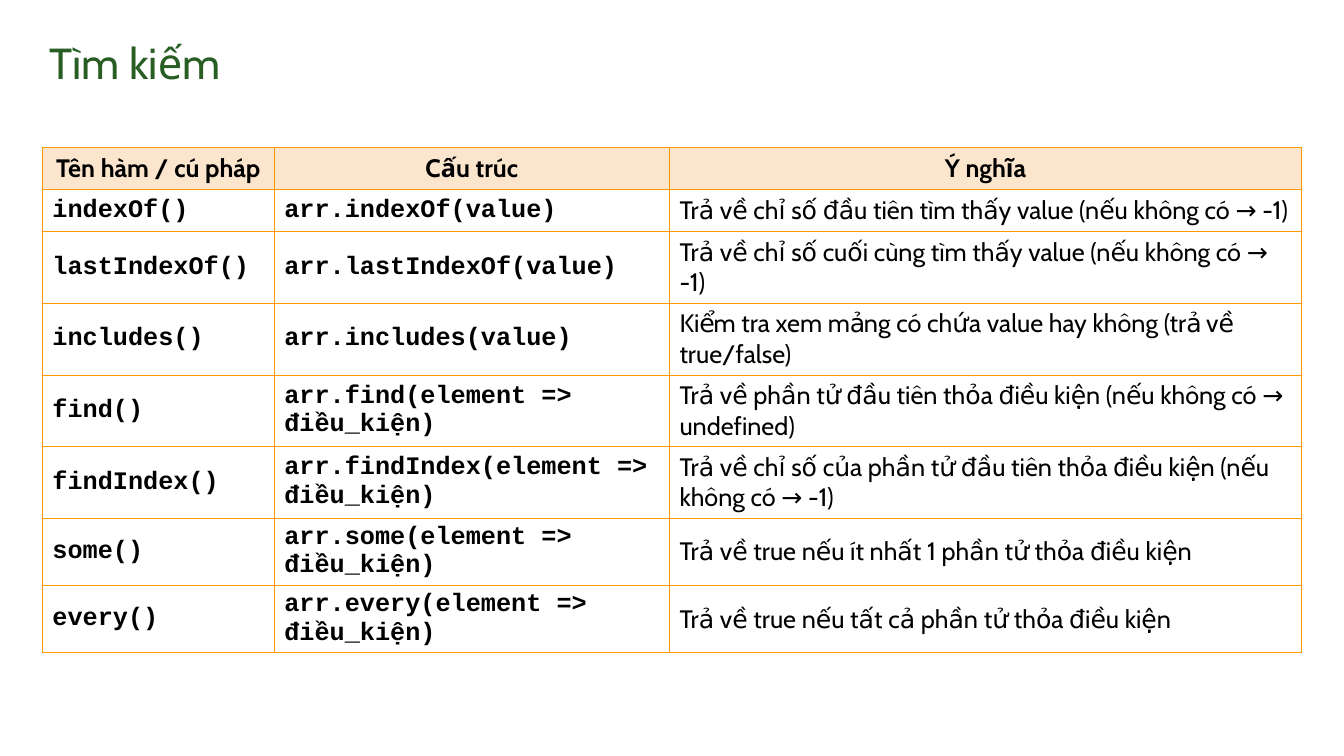
from lxml.etree import SubElement
from pptx import Presentation
from pptx.dml.color import RGBColor
from pptx.enum.text import MSO_ANCHOR as Anchor, MSO_AUTO_SIZE as AutoSize, PP_ALIGN as Align
from pptx.oxml.ns import qn
from pptx.util import Inches, Pt

TEXT_FONT, CODE_FONT = "Cabin", "Courier New"
GREEN, BLACK, WHITE, PEACH, ORANGE = "285D23", "000000", "FFFFFF", "FCE5CD", "FF9900"
COLUMN_WIDTHS = (2.3, 3.92, 6.27)
ROW_HEIGHT = 0.42

HEADER = ("Tên hàm / cú pháp", "Cấu trúc", "Ý nghĩa")
# Function name, its argument, its meaning
FUNCTIONS = (
    ("indexOf", "value", "Trả về chỉ số đầu tiên tìm thấy value (nếu không có → -1)"),
    ("lastIndexOf", "value", "Trả về chỉ số cuối cùng tìm thấy value (nếu không có → -1)"),
    ("includes", "value", "Kiểm tra xem mảng có chứa value hay không (trả về true/false)"),
    ("find", "element => điều_kiện",
     "Trả về phần tử đầu tiên thỏa điều kiện (nếu không có → undefined)"),
    ("findIndex", "element => điều_kiện",
     "Trả về chỉ số của phần tử đầu tiên thỏa điều kiện (nếu không có → -1)"),
    ("some", "element => điều_kiện", "Trả về true nếu ít nhất 1 phần tử thỏa điều kiện"),
    ("every", "element => điều_kiện", "Trả về true nếu tất cả phần tử thỏa điều kiện"),
)


def color(hex_value):
    return RGBColor.from_string(hex_value)


def format_paragraph(paragraph, font_name, size, hex_value, bold=False, align=Align.LEFT):
    paragraph.alignment = align
    font = paragraph.font
    font.name, font.size, font.bold = font_name, Pt(size), bold
    font.color.rgb = color(hex_value)


def add_title(slide, text, left, top, width, height):
    title = slide.shapes.title
    title.left, title.top = Inches(left), Inches(top)
    title.width, title.height = Inches(width), Inches(height)
    frame = title.text_frame
    frame.text = text
    frame.word_wrap = True
    frame.auto_size = AutoSize.NONE
    frame.vertical_anchor = Anchor.MIDDLE
    frame.margin_left = frame.margin_right = Inches(0.05)
    frame.margin_top = frame.margin_bottom = Inches(0.05)
    format_paragraph(frame.paragraphs[0], TEXT_FONT, 31, GREEN)


def set_borders(cell, hex_value, width):
    properties = cell._tc.get_or_add_tcPr()
    for side in ("a:lnL", "a:lnR", "a:lnT", "a:lnB"):
        line = SubElement(properties, qn(side), w=str(Pt(width)))
        fill = SubElement(line, qn("a:solidFill"))
        SubElement(fill, qn("a:srgbClr"), val=hex_value)


def fill_cell(cell, text, font_name, bold, fill, align):
    cell.text = text
    cell.vertical_anchor = Anchor.MIDDLE
    cell.margin_left = cell.margin_right = Inches(0.1)
    cell.margin_top = cell.margin_bottom = Inches(0.05)
    # Borders come before the fill in the cell properties
    set_borders(cell, ORANGE, 0.75)
    cell.fill.solid()
    cell.fill.fore_color.rgb = color(fill)
    format_paragraph(cell.text_frame.paragraphs[0], font_name, 18, BLACK, bold, align)


def add_function_table(slide, left, top):
    row_count = len(FUNCTIONS) + 1
    table = slide.shapes.add_table(
        row_count, len(COLUMN_WIDTHS), Inches(left), Inches(top),
        Inches(sum(COLUMN_WIDTHS)), Inches(ROW_HEIGHT * row_count)).table
    for column, width in zip(table.columns, COLUMN_WIDTHS):
        column.width = Inches(width)

    # Header row
    for cell, text in zip(table.rows[0].cells, HEADER):
        fill_cell(cell, text, TEXT_FONT, True, PEACH, Align.CENTER)

    # One row per function: two code cells and a description
    for index, (name, argument, meaning) in enumerate(FUNCTIONS, start=1):
        texts = (f"{name}()", f"arr.{name}({argument})", meaning)
        for column, text in enumerate(texts):
            is_code = column < 2
            fill_cell(table.cell(index, column), text,
                      CODE_FONT if is_code else TEXT_FONT, is_code, WHITE, Align.LEFT)


def main():
    presentation = Presentation()
    presentation.slide_width, presentation.slide_height = Inches(13.33), Inches(7.5)
    slide = presentation.slides.add_slide(presentation.slide_layouts[5])
    add_title(slide, "Tìm kiếm", 0.44, 0.28, 12, 0.67)
    add_function_table(slide, 0.42, 1.46)
    presentation.save("out.pptx")


if __name__ == "__main__":
    main()
